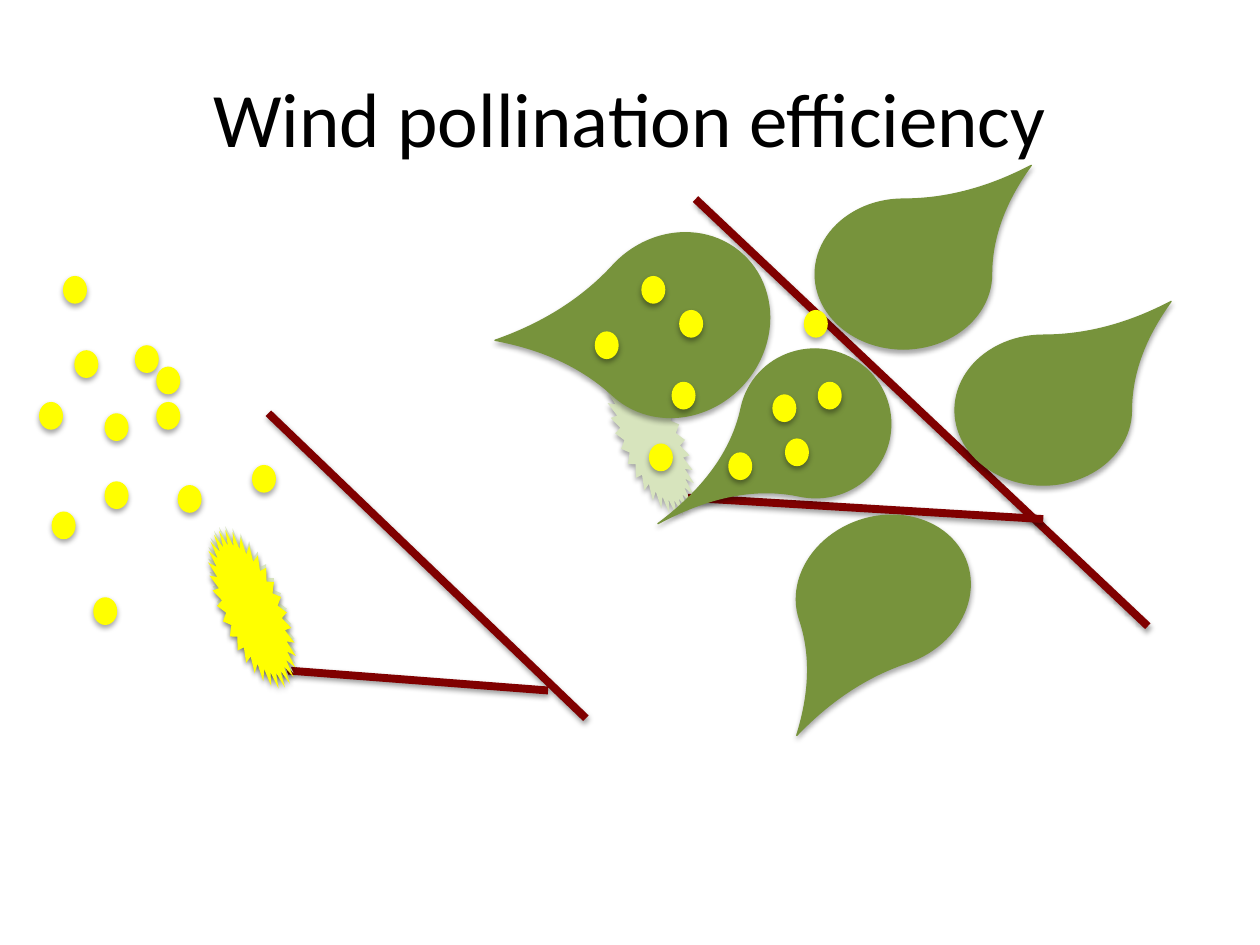
from dataclasses import dataclass

from lxml.etree import SubElement
from pptx import Presentation
from pptx.dml.color import RGBColor
from pptx.enum.shapes import MSO_CONNECTOR as Connector, MSO_SHAPE as Shape
from pptx.enum.text import MSO_ANCHOR as Anchor, PP_ALIGN as Align
from pptx.oxml.ns import qn
from pptx.util import Inches, Pt


@dataclass(frozen=True)
class Theme:
    font: str = "Calibri"
    title_size: int = 44
    text: str = "000000"
    branch: str = "800000"
    leaf: str = "77933C"
    pollen: str = "FFFF00"
    stigma: str = "D7E4BD"


theme = Theme()


def add_shadow(part, distance, opacity):
    effects = SubElement(part._element.spPr, qn("a:effectLst"))
    shadow = SubElement(
        effects, qn("a:outerShdw"), blurRad=str(Pt(3.1)), dist=str(Pt(distance)),
        dir="5400000", rotWithShape="0")
    color = SubElement(shadow, qn("a:srgbClr"), val="000000")
    SubElement(color, qn("a:alpha"), val=str(opacity * 1000))


def add_part(kind, left, top, width, height, color, rotation=0, adjustment=None, outlined=False):
    part = slide.shapes.add_shape(
        kind, Inches(left), Inches(top), Inches(width), Inches(height))
    part.rotation = rotation
    if adjustment is not None:
        part.adjustments[0] = adjustment
    part.fill.solid()
    part.fill.fore_color.rgb = RGBColor.from_string(color)
    if outlined:
        part.line.color.rgb = RGBColor.from_string(color)
        part.line.width = Pt(0.75)
    else:
        part.line.fill.background()
    add_shadow(part, 1.8, 35)


prs = Presentation()
prs.slide_width, prs.slide_height = Inches(10), Inches(7.5)
slide = prs.slides.add_slide(prs.slide_layouts[5])

title = slide.shapes.title
title.left, title.top = Inches(0.5), Inches(0.3)
title.width, title.height = Inches(9), Inches(1.25)
title.text_frame.vertical_anchor = Anchor.MIDDLE
heading = title.text_frame.paragraphs[0]
heading.alignment = Align.CENTER
run = heading.add_run()
run.text = "Wind pollination efficiency"
run.font.name = theme.font
run.font.size = Pt(theme.title_size)
run.font.color.rgb = RGBColor.from_string(theme.text)

branches = [
    (2.13, 3.28, 4.65, 5.7),
    (5.52, 1.58, 9.11, 4.97),
    (5.46, 3.95, 8.28, 4.12),
    (2.13, 5.31, 4.35, 5.48),
]
for ends in branches:
    branch = slide.shapes.add_connector(Connector.STRAIGHT, *map(Inches, ends))
    branch.line.color.rgb = RGBColor.from_string(theme.branch)
    branch.line.width = Pt(4.5)
    add_shadow(branch, 1.6, 38)

catkins = [
    (1.75, 4.13, theme.stigma),
    (4.91, 2.79, theme.stigma),
    (1.75, 4.16, theme.pollen),
]
for left, top, color in catkins:
    add_part(Shape.STAR_32_POINT, left, top, 0.5, 1.35, color, 337.2, 0.4)

leaves = [
    (6.47, 1.58, 1.4, 1.19, 0, 1.45),
    (4.68, 1.82, 1.4, 1.52, 222.6, 1.41),
    (5.87, 2.77, 1.2, 1.18, 192, 1.76),
    (7.58, 2.66, 1.4, 1.19, 0, 1.45),
    (6.31, 4.1, 1.4, 1.19, 161.4, 1.45),
]
for *box, rotation, tip in leaves:
    add_part(Shape.TEAR, *box, theme.leaf, rotation, tip, outlined=True)

airborne_pollen = [
    (0.5, 2.19), (0.31, 3.19), (0.59, 2.78), (1.07, 2.74), (0.83, 3.28), (1.24, 3.19),
    (0.83, 3.82), (1.41, 3.85), (2, 3.69), (0.74, 4.74), (0.41, 4.06), (1.24, 2.91),
]
landed_pollen = [
    (5.09, 2.19), (4.72, 2.63), (5.39, 2.46), (6.49, 3.03), (5.78, 3.59), (6.38, 2.46),
    (6.23, 3.48), (6.13, 3.13), (5.33, 3.03), (5.15, 3.52),
]
for left, top in airborne_pollen + landed_pollen:
    add_part(Shape.OVAL, left, top, 0.19, 0.22, theme.pollen)

prs.save("out.pptx")
